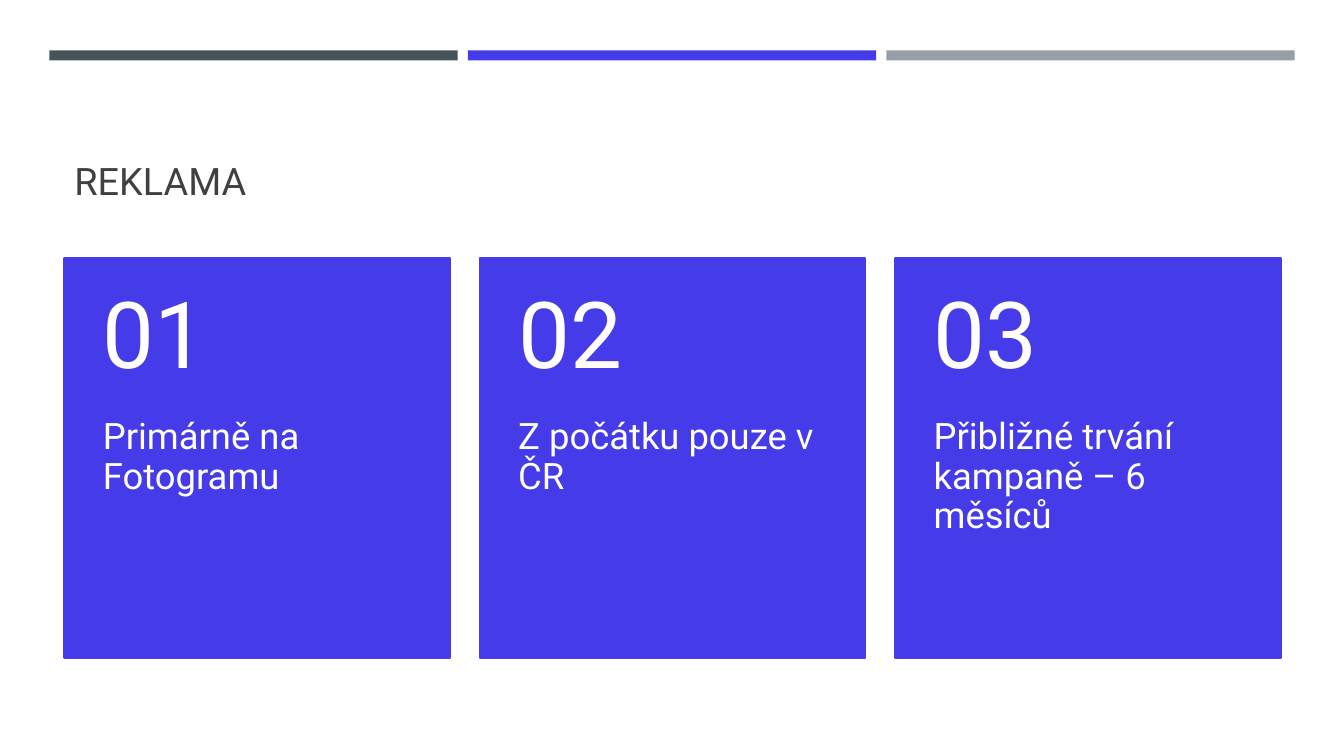
from pptx import Presentation
from pptx.dml.color import RGBColor
from pptx.enum import shapes, text
from pptx.util import Inches, Pt

COLORS = {
    "slate": "465359",
    "indigo": "453BE9",
    "gray": "969FA7",
    "title": "404040",
    "white": "FFFFFF",
}


def add_block(left, top, width, height, color, line_width=None):
    """Add a plain filled rectangle, outlined in its own colour if asked."""
    block = slide.shapes.add_shape(
        shapes.MSO_SHAPE.RECTANGLE,
        Inches(left), Inches(top), Inches(width), Inches(height),
    )
    block.shadow.inherit = False
    block.fill.solid()
    block.fill.fore_color.rgb = RGBColor.from_string(COLORS[color])
    if line_width:
        block.line.color.rgb = RGBColor.from_string(COLORS[color])
        block.line.width = Pt(line_width)
    else:
        block.line.fill.background()


def add_text(words, left, top, width, height, *, size, color,
             anchor=text.MSO_ANCHOR.TOP, insets=(0.1, 0.05, 0.1, 0.05)):
    """Add a wrapped text box; insets run left, top, right, bottom."""
    box = slide.shapes.add_textbox(
        Inches(left), Inches(top), Inches(width), Inches(height))
    frame = box.text_frame
    frame.word_wrap = True
    frame.vertical_anchor = anchor
    (frame.margin_left, frame.margin_top,
     frame.margin_right, frame.margin_bottom) = map(Inches, insets)
    paragraph = frame.paragraphs[0]
    paragraph.text = words
    paragraph.line_spacing = 0.9
    paragraph.font.name = "Roboto"
    paragraph.font.size = Pt(size)
    paragraph.font.color.rgb = RGBColor.from_string(COLORS[color])


prs = Presentation()
prs.slide_width = Inches(13.33)
prs.slide_height = Inches(7.5)
slide = prs.slides.add_slide(prs.slide_layouts[6])

# Bars along the top
for column, bar_color in enumerate(("slate", "indigo", "gray")):
    add_block(0.49 + column * 4.15, 0.5, 4.05, 0.1, bar_color)

margin = 0.64
add_text("REKLAMA", margin, 0.77, 12.06, 1.3, size=27, color="title",
         anchor=text.MSO_ANCHOR.BOTTOM)

# Numbered cards
card_width, card_pitch = 3.82, 4.12
card_top, number_height, point_height = 2.56, 1.59, 2.38
points = (
    "Primárně na Fotogramu",
    "Z počátku pouze v ČR",
    "Přibližné trvání kampaně – 6 měsíců",
)
for column, point in enumerate(points):
    card_left = margin + column * card_pitch
    add_block(card_left, card_top, card_width, number_height + point_height,
              "indigo", line_width=1.75)
    add_text(point, card_left, card_top + number_height, card_width,
             point_height, size=26, color="white",
             insets=(0.38, 0, 0.38, 0.36))
    add_text(f"{column + 1:02}", card_left, card_top, card_width,
             number_height, size=66, color="white",
             anchor=text.MSO_ANCHOR.MIDDLE, insets=(0.38, 0.18, 0.38, 0.18))

prs.save("out.pptx")
